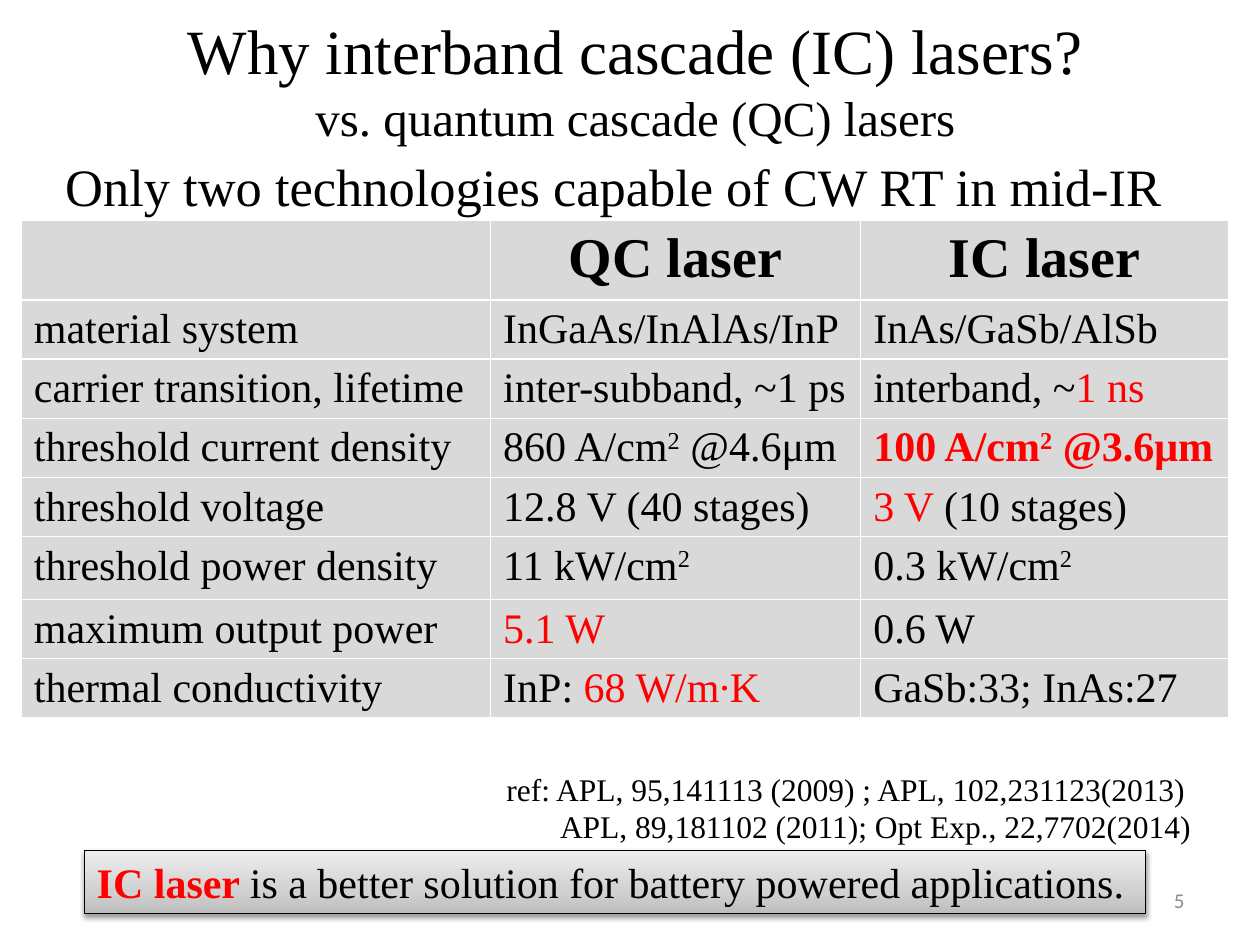
from copy import deepcopy
from dataclasses import dataclass

from lxml.etree import SubElement as Sub
from pptx import Presentation
from pptx.dml.color import RGBColor as RGB
from pptx.enum.shapes import MSO_SHAPE as Shape
from pptx.enum.text import MSO_ANCHOR as Anchor, PP_ALIGN as Align
from pptx.oxml.ns import qn
from pptx.util import Cm, Pt


@dataclass(frozen=True)
class Theme:
    serif: str = "Times New Roman"
    sans: str = "Calibri"
    ink: RGB = RGB(0, 0, 0)
    red: RGB = RGB(255, 0, 0)
    gray: RGB = RGB(0x8C, 0x8C, 0x8C)
    cell: RGB = RGB(0xD9, 0xD9, 0xD9)
    fade: tuple = ((0, "BDBDBD"), (0.35, "D1D1D1"), (1, "EEEEEE"))
    title: int = 36
    sub: int = 28
    lead: int = 30
    head: int = 32
    text: int = 24
    ref: int = 18
    page: int = 12


theme = Theme()


def add_run(para, text, size, marks="", color=theme.ink, face=theme.serif):
    """Marks: r is red, b is bold, s is superscript."""
    run = para.add_run()
    run.text = text
    font = run.font
    font.name, font.size, font.bold = face, Pt(size), "b" in marks
    font.color.rgb = theme.red if "r" in marks else color
    if "s" in marks:
        font._element.set("baseline", "30000")


def place(item, left, top, width, height):
    item.left, item.top = Cm(left), Cm(top)
    item.width, item.height = Cm(width), Cm(height)


deck = Presentation()
deck.slide_width, deck.slide_height = Cm(25.4), Cm(19.05)
slide = deck.slides.add_slide(deck.slide_layouts[1])
shapes = slide.shapes

# Title and lead line
title, body = slide.placeholders
place(title, 0.85, 0.21, 23.92, 2.75)
title.text_frame.vertical_anchor = Anchor.MIDDLE
para = title.text_frame.paragraphs[0]
para.alignment = Align.CENTER
add_run(para, "Why interband cascade (IC) lasers?", theme.title)
para.add_line_break()
add_run(para, "vs. quantum cascade (QC) lasers", theme.sub)

place(body, 1.06, 2.97, 23.06, 1.7)
para = body.text_frame.paragraphs[0]
props = para._p.get_or_add_pPr()
props.set("marL", "0")
props.set("indent", "0")
Sub(props, qn("a:buNone"))
para.space_before = Pt(0)
add_run(para, "Only two technologies capable of CW RT in mid-IR", theme.lead)

# Comparison table: each cell is a list of (text, marks) runs
rows = [
    ([], [("QC laser", "b")], [("IC laser", "b")]),
    ([("material system", "")], [("InGaAs/InAlAs/InP", "")],
     [("InAs/GaSb/AlSb", "")]),
    ([("carrier transition, lifetime", "")], [("inter-subband, ~1 ps", "")],
     [("interband, ~", ""), ("1 ns", "r")]),
    ([("threshold current density", "")],
     [("860 A/cm", ""), ("2", "s"), (" @4.6μm", "")],
     [("100 A/cm", "rb"), ("2", "rbs"), (" @3.6μm", "rb")]),
    ([("threshold voltage", "")], [("12.8 V (40 stages)", "")],
     [("3 V ", "r"), ("(10 stages)", "")]),
    ([("threshold power density", "")], [("11 kW/cm", ""), ("2", "s")],
     [("0.3 kW/cm", ""), ("2", "s")]),
    ([("maximum output power", "")], [("5.1 W", "r")], [("0.6 W", "")]),
    ([("thermal conductivity", "")], [("InP: ", ""), ("68 W/m∙K", "r")],
     [("GaSb:33; InAs:27", "")]),
]
tall = [1.6, 1.19, 1.19, 1.19, 1.19, 1.27, 1.19, 1.19]
wide = [9.46, 7.46, 7.42]
grid = shapes.add_table(len(rows), len(wide), Cm(0.43), Cm(4.45),
                        Cm(sum(wide)), Cm(sum(tall))).table
for col, width in zip(grid.columns, wide):
    col.width = Cm(width)
for r, (row, height) in enumerate(zip(rows, tall)):
    grid.rows[r].height = Cm(height)
    for c, runs in enumerate(row):
        cell = grid.cell(r, c)
        cell.fill.solid()
        cell.fill.fore_color.rgb = theme.cell
        para = cell.text_frame.paragraphs[0]
        para.alignment = Align.LEFT if r else Align.CENTER
        for text, marks in runs:
            add_run(para, text, theme.text if r else theme.head, marks)

# Page number
page = shapes.add_textbox(Cm(18.2), Cm(17.65), Cm(5.93), Cm(1.01))
page.text_frame.word_wrap = True
page.text_frame.vertical_anchor = Anchor.MIDDLE
para = page.text_frame.paragraphs[0]
para.alignment = Align.RIGHT
add_run(para, "5", theme.page, color=theme.gray, face=theme.sans)

# Conclusion bar
bar = shapes.add_shape(Shape.RECTANGLE, Cm(1.7), Cm(17.14), Cm(21.4), Cm(1.28))
bar.line.color.rgb = theme.ink
bar.line.width = Pt(0.75)
bar.fill.gradient()
bar.fill.gradient_angle = 90
first = bar.fill.gradient_stops[0]._gs
first.addnext(deepcopy(first))
for stop, (spot, tone) in zip(bar.fill.gradient_stops, theme.fade):
    stop.position = spot
    stop.color.rgb = RGB.from_string(tone)
bar.shadow.inherit = False
glow = Sub(bar._element.spPr.find(qn("a:effectLst")), qn("a:outerShdw"),
           blurRad=str(Pt(3.1)), dist=str(Pt(1.6)), dir="5400000", rotWithShape="0")
Sub(Sub(glow, qn("a:srgbClr"), val=str(theme.ink)), qn("a:alpha"), val="38000")
bar.text_frame.word_wrap = True
bar.text_frame.vertical_anchor = Anchor.MIDDLE
para = bar.text_frame.paragraphs[0]
para.alignment = Align.LEFT
add_run(para, "IC laser ", theme.text, "rb")
add_run(para, "is a better solution for battery powered applications.", theme.text)

# References
refs = shapes.add_textbox(Cm(9.96), Cm(15.39), Cm(14.33), Cm(1.8))
frame = refs.text_frame
frame.word_wrap = False
add_run(frame.paragraphs[0], "ref: APL, 95,141113 (2009) ; APL, 102,231123(2013)", theme.ref)
para = frame.add_paragraph()
para._p.get_or_add_pPr().set("marL", str(Cm(1.08)))
add_run(para, "APL, 89,181102 (2011); Opt Exp., 22,7702(2014)", theme.ref)

deck.save("out.pptx")
